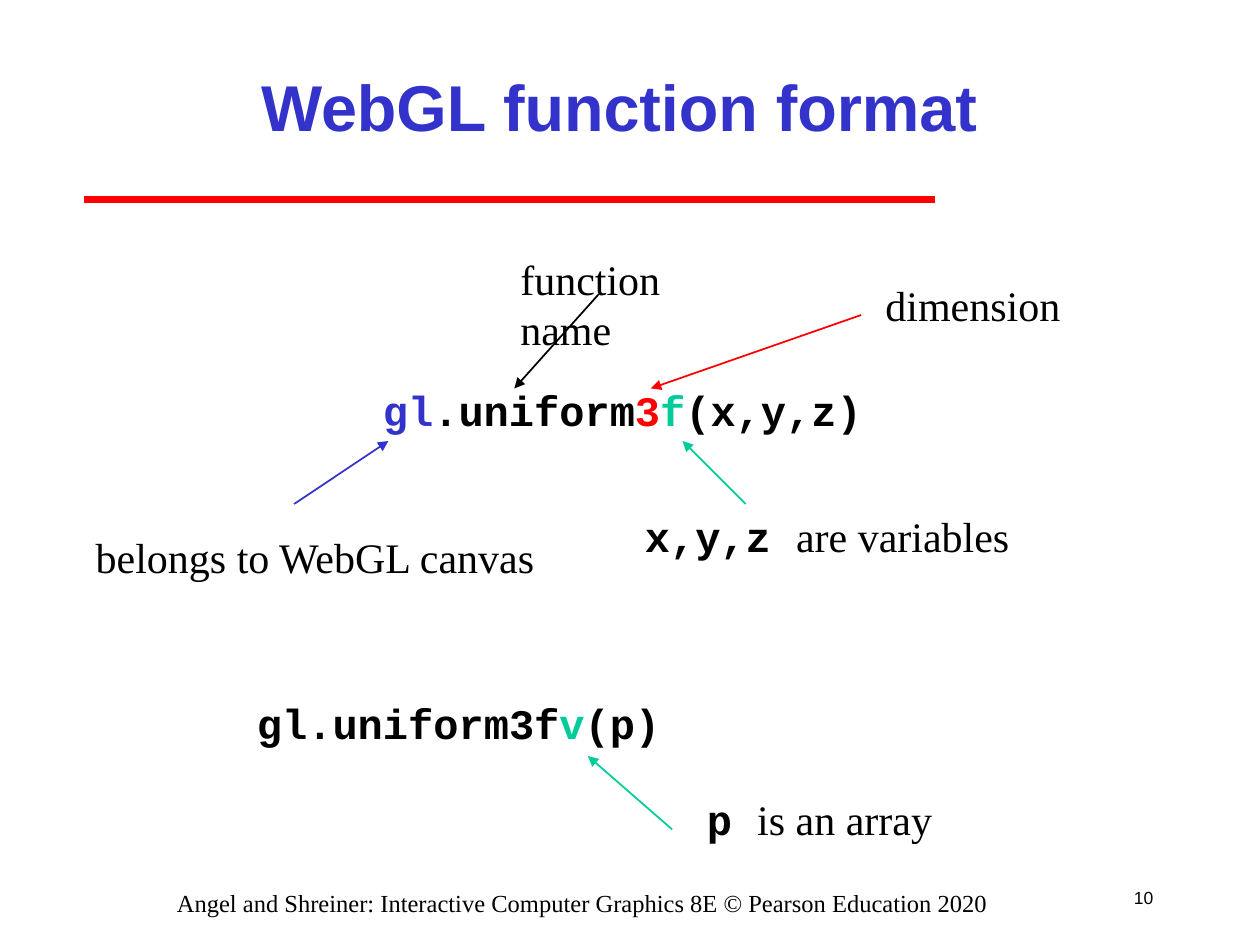
from lxml import etree
from pptx import Presentation
from pptx import util as u
from pptx.dml.color import RGBColor
from pptx.enum import shapes, text
from pptx.oxml.ns import qn

BLACK = RGBColor(0x00, 0x00, 0x00)
BLUE = RGBColor(0x33, 0x33, 0xCC)
RED = RGBColor(0xFF, 0x00, 0x00)
GREEN = RGBColor(0x00, 0xCC, 0x99)

# Font formats
HEAD = dict(name="Arial", size=u.Pt(37), bold=True)
CODE = dict(name="Courier New", size=u.Pt(24), bold=True)
NOTE = dict(name="Times New Roman", size=u.Pt(24), bold=False)
FOOT = dict(name="Times New Roman", size=u.Pt(14), bold=False)
PAGE = dict(name="Arial", size=u.Pt(10), bold=False)


class Sheet:
    """Holds the slide and draws styled parts on it; lengths are in cm."""

    def __init__(self, deck):
        self.slide = deck.slides.add_slide(deck.slide_layouts[6])
        self.align = text.PP_ALIGN.LEFT
        self.anchor = text.MSO_ANCHOR.TOP

    def label(self, box, *runs, align=None, anchor=None, wrap=False):
        """Add a text box; each run is (words, format, colour)."""
        shape = self.slide.shapes.add_textbox(*map(u.Cm, box))
        frame = shape.text_frame
        frame.word_wrap = wrap
        frame.vertical_anchor = anchor or self.anchor
        para = frame.paragraphs[0]
        para.alignment = align or self.align
        for words, style, color in runs:
            run = para.add_run()
            run.text = words
            for key, value in style.items():
                setattr(run.font, key, value)
            run.font.color.rgb = color

    def line(self, start, end, color, width=1):
        """Add a plain straight line."""
        link = self.slide.shapes.add_connector(
            shapes.MSO_CONNECTOR.STRAIGHT, *map(u.Cm, start + end))
        link.line.color.rgb = color
        link.line.width = u.Pt(width)
        etree.SubElement(link._element.spPr, qn("a:effectLst"))
        return link

    def arrow(self, start, end, color):
        """Add a line with a triangle at its end."""
        link = self.line(start, end, color)
        etree.SubElement(link.line._get_or_add_ln(), qn("a:tailEnd"),
                         type="triangle")


def main():
    deck = Presentation()
    deck.slide_width, deck.slide_height = u.Cm(25.4), u.Cm(19.05)
    sheet = Sheet(deck)
    center, middle = text.PP_ALIGN.CENTER, text.MSO_ANCHOR.MIDDLE

    # Title and rule
    sheet.line((1.7, 4.02), (18.85, 4.02), RED, 4)
    sheet.label((3.81, 0.64, 17.35, 2.96),
                ("WebGL function format", HEAD, BLUE),
                align=center, anchor=middle, wrap=True)

    # Function calls
    sheet.label((7.47, 7.62, 10.16, 1.27),
                ("gl", CODE, BLUE), (".uniform", CODE, BLACK),
                ("3", CODE, RED), ("f", CODE, GREEN),
                ("(x,y,z)", CODE, BLACK))
    sheet.label((4.93, 13.94, 8.64, 1.27),
                ("gl.uniform3f", CODE, BLACK), ("v", CODE, GREEN),
                ("(p)", CODE, BLACK))

    # Notes on their parts
    notes = [
        ((1.68, 10.59, 9.45, 1.27), "", "belongs to WebGL canvas"),
        ((10.24, 4.98, 5.36, 1.27), "", "function name"),
        ((17.6, 5.51, 4.04, 1.27), "", "dimension"),
        ((12.75, 10.16, 7.85, 1.27), "x,y,z ", "are variables"),
        ((14, 15.88, 5.05, 1.27), "p ", "is an array"),
    ]
    for box, code, words in notes:
        runs = [(code, CODE, BLACK)] if code else []
        sheet.label(box, *runs, (words, NOTE, BLACK))

    # Arrows from notes to code
    for start, end, color in [
        ((5.93, 10.16), (7.83, 8.89), BLUE),
        ((12.07, 5.93), (10.37, 7.83), BLACK),
        ((15.03, 10.16), (13.76, 8.89), GREEN),
        ((13.55, 16.72), (11.85, 15.24), GREEN),
        ((17.36, 6.35), (13.12, 7.83), RED),
    ]:
        sheet.arrow(start, end, color)

    # Footer and page number
    sheet.label((2.75, 17.78, 17.99, 0.64),
                ("Angel and Shreiner: Interactive Computer Graphics 8E "
                 "© Pearson Education 2020", FOOT, BLACK),
                align=center, wrap=True)
    sheet.label((22.44, 17.57, 1.06, 1.06), ("10", PAGE, BLACK),
                align=text.PP_ALIGN.RIGHT, anchor=middle)

    deck.save("out.pptx")


if __name__ == "__main__":
    main()
